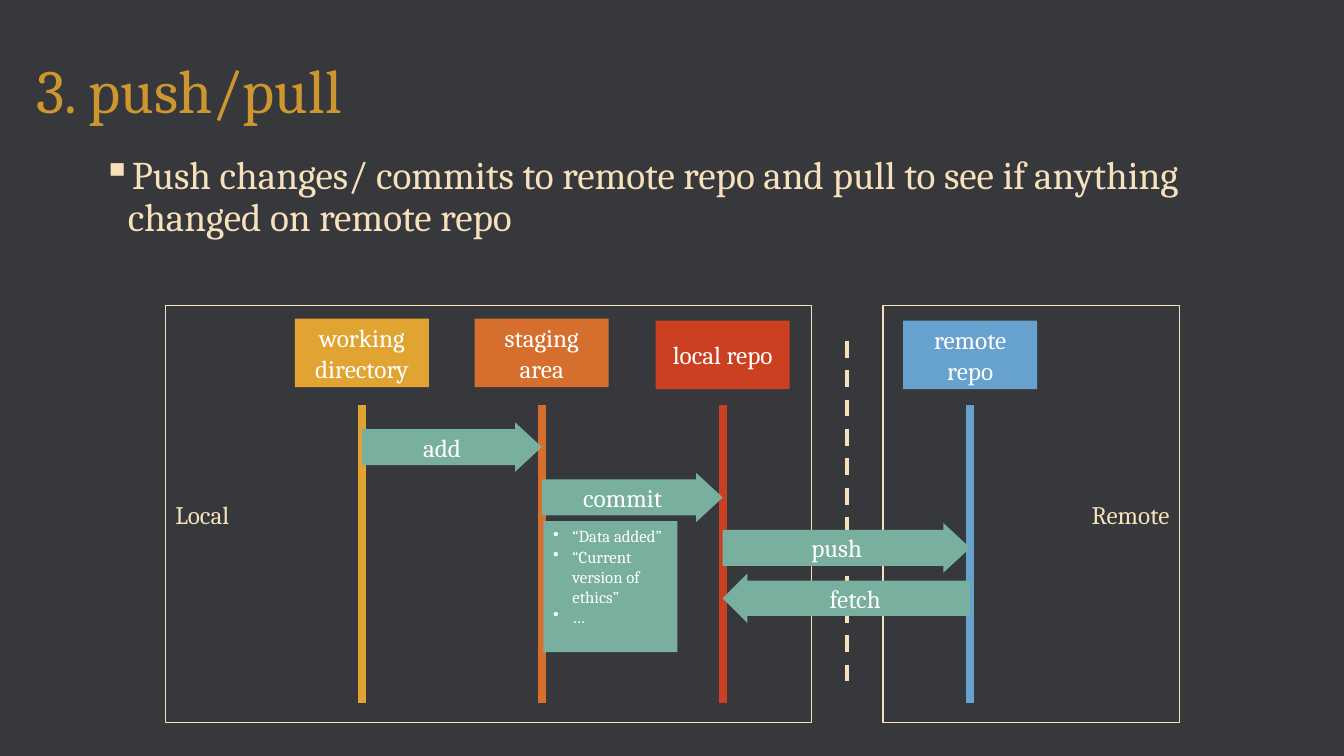
from dataclasses import dataclass

from lxml.etree import SubElement
from pptx import Presentation
from pptx.dml.color import RGBColor
from pptx.enum.dml import MSO_LINE
from pptx.enum.shapes import MSO_CONNECTOR, MSO_SHAPE
from pptx.enum.text import MSO_ANCHOR, PP_ALIGN
from pptx.oxml.ns import qn
from pptx.util import Inches, Pt


@dataclass(frozen=True)
class Theme:
    """Colours, font and type sizes of the slide."""
    background: str = "37383C"
    title: str = "CE962F"
    cream: str = "F7E1BD"
    white: str = "FFFFFF"
    action: str = "78AF9F"
    font: str = "Cambria"
    title_size: int = 44
    body_size: int = 28
    label_size: int = 18
    note_size: int = 12


THEME = Theme()
CELL = Inches(0.1)
COLUMNS, ROWS = 133.33, 75
LANE_WIDTH, LANE_HEIGHT = 13.3, 6.8
LANE_LINE_TOP, LANE_LINE_BOTTOM = 40.2, 69.7
FRAME_TOP, FRAME_HEIGHT = 30.3, 41.4
ARROW_TOP, ARROW_STEP, ARROW_HEIGHT = 41.9, 5, 4.9
LANES = [
    ("working directory", 35.9, 31.6, "E1A332"),
    ("staging area", 53.75, 31.6, "D66F2D"),
    ("local repo", 71.7, 31.8, "CB4020"),
    ("remote repo", 96.25, 31.8, "67A1CE"),
]
ACTIONS = [("add", 0, 1), ("commit", 1, 2), ("push", 2, 3), ("fetch", 3, 2)]


def cells(*counts):
    """Turn counts of grid columns or rows into lengths."""
    return [round(count * CELL) for count in counts]


def colour(value):
    """Return the colour for a hex value."""
    return RGBColor.from_string(value)


def write(shape, lines, size, ink, align=PP_ALIGN.LEFT,
          anchor=MSO_ANCHOR.MIDDLE, spacing=None):
    """Fill a shape with paragraphs of one style and return them."""
    frame = shape.text_frame
    frame.word_wrap = True
    frame.vertical_anchor = anchor
    frame.text = "\n".join(lines)
    for paragraph in frame.paragraphs:
        paragraph.alignment = align
        paragraph.line_spacing = spacing
        paragraph.font.size = Pt(size)
        paragraph.font.name = THEME.font
        paragraph.font.color.rgb = colour(ink)
    return frame.paragraphs


def add_bullet(paragraph, mark, indent):
    """Give a paragraph a bullet with a hanging indent in inches."""
    properties = paragraph._p.get_or_add_pPr()
    properties.set("marL", str(Inches(indent)))
    properties.set("indent", str(-Inches(indent)))
    bullet = SubElement(properties, qn("a:buChar"))
    bullet.set("char", mark)
    properties.insert_element_before(bullet, "a:tabLst", "a:defRPr", "a:extLst")


def add_block(slide, kind, box, fill=None, outline=None):
    """Add a preset shape with a flat fill or a thin outline."""
    shape = slide.shapes.add_shape(kind, *cells(*box))
    shape.shadow.inherit = False
    if fill:
        shape.fill.solid()
        shape.fill.fore_color.rgb = colour(fill)
    else:
        shape.fill.background()
    if outline:
        shape.line.color.rgb = colour(outline)
        shape.line.width = Pt(1)
    else:
        shape.line.fill.background()
    return shape


def add_vertical(slide, x, top, bottom, ink, width):
    """Add a vertical line and return it."""
    line = slide.shapes.add_connector(MSO_CONNECTOR.STRAIGHT, *cells(x, top, x, bottom))
    line.line.color.rgb = colour(ink)
    line.line.width = Pt(width)
    SubElement(line._element.spPr, qn("a:effectLst"))
    return line


def add_lane(slide, label, centre, top, fill):
    """Add a labelled stage with its lifeline."""
    box = (centre - LANE_WIDTH / 2, top, LANE_WIDTH, LANE_HEIGHT)
    header = add_block(slide, MSO_SHAPE.RECTANGLE, box, fill)
    write(header, [label], THEME.label_size, THEME.white, PP_ALIGN.CENTER)
    add_vertical(slide, centre, LANE_LINE_TOP, LANE_LINE_BOTTOM, fill, 6)


def add_frame(slide, label, left, width, align):
    """Add an outlined area with its label at one side."""
    box = (left, FRAME_TOP, width, FRAME_HEIGHT)
    frame = add_block(slide, MSO_SHAPE.RECTANGLE, box, outline=THEME.cream)
    write(frame, [label], THEME.label_size, THEME.cream, align)


def add_action(slide, step, label, start, end):
    """Add a block arrow from one lane to another."""
    forward = end > start
    left, right = sorted((LANES[start][1], LANES[end][1]))
    kind = MSO_SHAPE.RIGHT_ARROW if forward else MSO_SHAPE.LEFT_ARROW
    box = (left, ARROW_TOP + step * ARROW_STEP, right - left, ARROW_HEIGHT)
    arrow = add_block(slide, kind, box, THEME.action)
    arrow.adjustments[0] = 0.73 if forward else 0.71
    arrow.adjustments[1] = 0.54 if forward else 0.5
    write(arrow, [label], THEME.label_size, THEME.white, PP_ALIGN.CENTER)


def add_heading(slide):
    """Add the title and the bulleted statement."""
    title = slide.shapes.add_textbox(*cells(2.6, 2, 115, 14.5))
    write(title, ["3. push/pull"], THEME.title_size, THEME.title, spacing=0.9)
    body = slide.shapes.add_textbox(*cells(9.2, 14.9, 115, 12))
    statement = ("Push changes/ commits to remote repo and pull to see "
                 "if anything changed on remote repo")
    paragraph, = write(body, [statement], THEME.body_size, THEME.cream,
                       anchor=MSO_ANCHOR.TOP, spacing=0.9)
    paragraph.space_before = Pt(10)
    add_bullet(paragraph, "▪", 0.25)


def add_commit_note(slide):
    """Add the list of commit messages."""
    box = (53.9, 51.7, LANE_WIDTH, 13)
    note = add_block(slide, MSO_SHAPE.RECTANGLE, box, THEME.action)
    messages = ["“Data added”", "“Current version of ethics”", "…"]
    for paragraph in write(note, messages, THEME.note_size, THEME.white,
                           anchor=MSO_ANCHOR.TOP):
        add_bullet(paragraph, "•", 0.19)


def main():
    """Build the slide and save it."""
    presentation = Presentation()
    presentation.slide_width, presentation.slide_height = cells(COLUMNS, ROWS)
    slide = presentation.slides.add_slide(presentation.slide_layouts[6])
    slide.background.fill.solid()
    slide.background.fill.fore_color.rgb = colour(THEME.background)
    add_heading(slide)
    for lane in LANES:
        add_lane(slide, *lane)
    divider = add_vertical(slide, 84, 33.8, 68.1, THEME.cream, 3)
    divider.line.dash_style = MSO_LINE.DASH
    add_frame(slide, "Local", 16.4, 64.1, PP_ALIGN.LEFT)
    add_frame(slide, "Remote", 87.6, 29.4, PP_ALIGN.RIGHT)
    for step, action in enumerate(ACTIONS):
        add_action(slide, step, *action)
    add_commit_note(slide)
    presentation.save("out.pptx")


if __name__ == "__main__":
    main()
